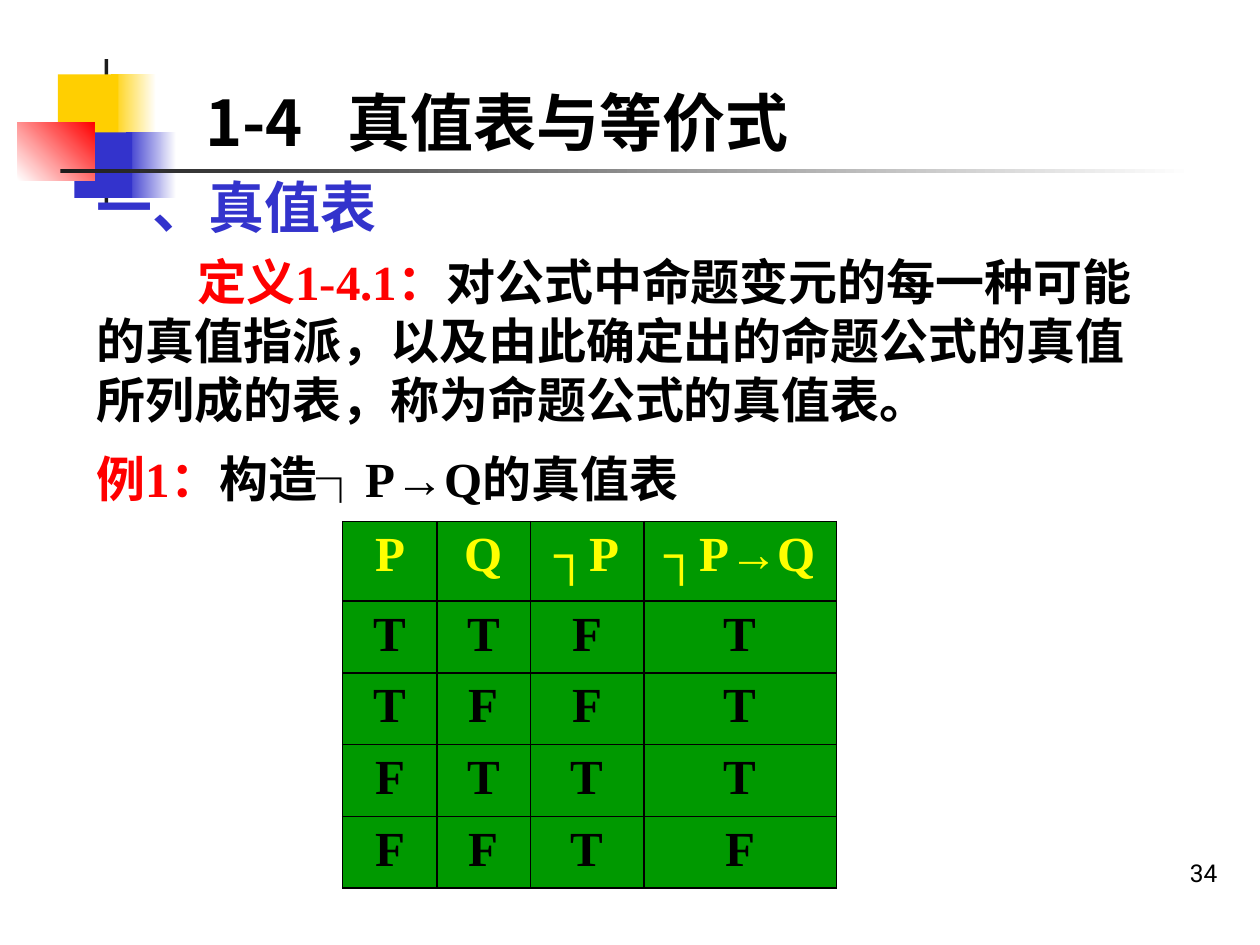
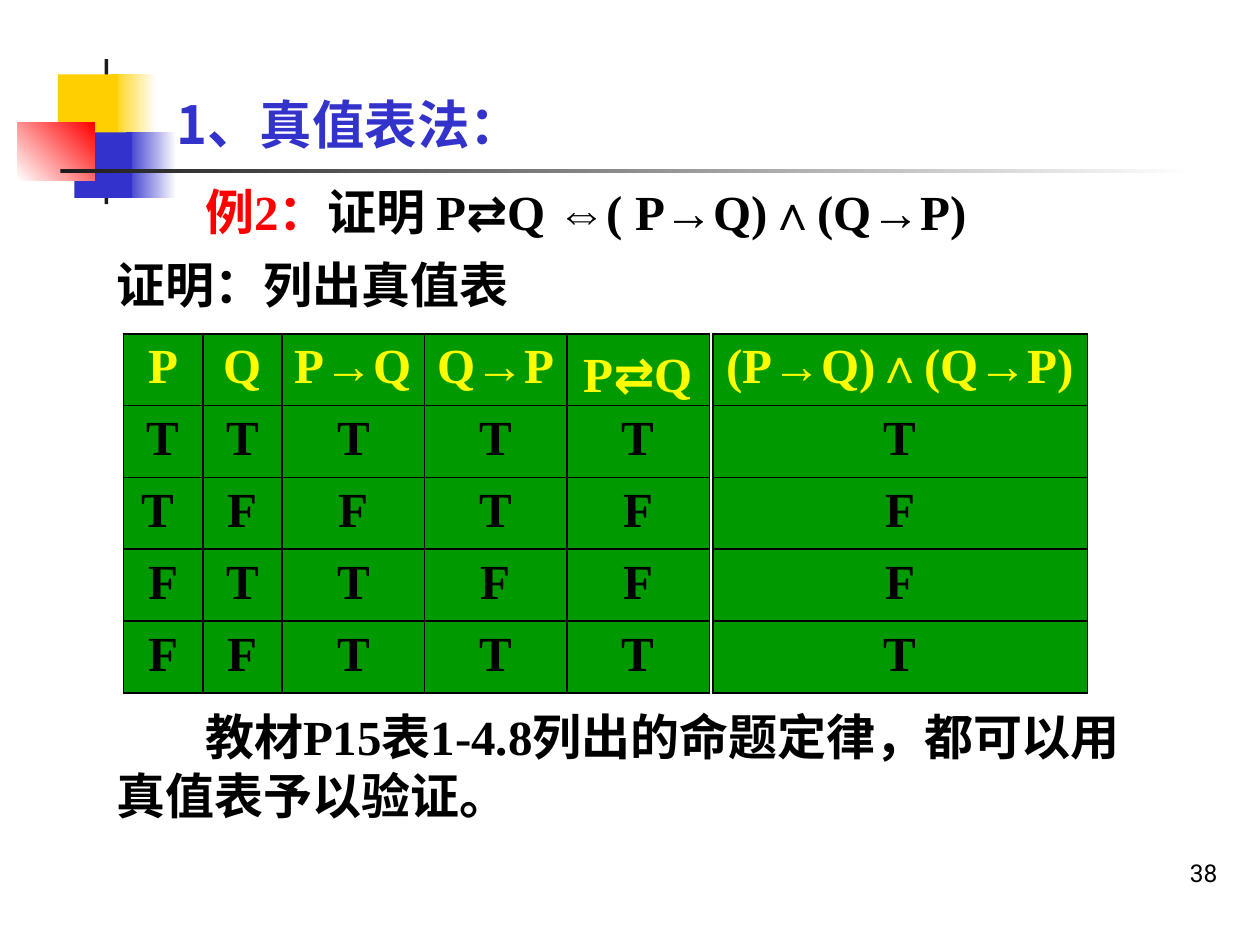
import pptx
import pptx.util
import pptx.dml.color
import pptx.enum.shapes
import pptx.enum.text
import pptx.oxml.ns
import lxml.etree

Inches = pptx.util.Inches
Pt = pptx.util.Pt
RGBColor = pptx.dml.color.RGBColor
ALIGN = pptx.enum.text.PP_ALIGN
ANCHOR = pptx.enum.text.MSO_ANCHOR
qn = pptx.oxml.ns.qn

# Shared colours and fonts
BLACK = RGBColor(0x00, 0x00, 0x00)
WHITE = RGBColor(0xFF, 0xFF, 0xFF)
CHARCOAL = RGBColor(0x1C, 0x1C, 0x1C)
GOLD = RGBColor(0xFF, 0xCF, 0x01)
BLUE = RGBColor(0x33, 0x33, 0xCC)
RED = RGBColor(0xFF, 0x00, 0x00)
GREEN = RGBColor(0x00, 0x99, 0x00)
YELLOW = RGBColor(0xFF, 0xFF, 0x00)
CJK = "Noto Sans CJK SC"
SERIF = "Times New Roman"
MONO = "Noto Sans Mono"

# Corner ornament and rule: left, top, width, height, colours, gradient angle
ORNAMENT = [
    (0.88, 0.59, 0.36, 0.52, (GOLD, WHITE), 0),
    (1.00, 1.05, 0.40, 0.52, (BLUE, WHITE), 0),
    (0.83, 0.47, 0.03, 1.15, (CHARCOAL,), 0),
    (0.46, 0.59, 0.48, 0.52, (GOLD,), 0),
    (0.59, 1.05, 0.46, 0.52, (BLUE,), 0),
    (0.14, 0.97, 0.61, 0.46, (WHITE, RED), 45),
    (0.48, 1.34, 9.00, 0.03, (CHARCOAL, WHITE), 0),
]


def add_runs(paragraph, runs, size=28):
    """Each run is (text, colour) or (text, colour, font)."""
    for text, colour, *font in runs:
        run = paragraph.add_run()
        run.text = text
        run.font.size = Pt(size)
        run.font.bold = True
        run.font.name = font[0] if font else SERIF
        run.font.color.rgb = colour
        east_asian = lxml.etree.Element(qn("a:ea"), typeface=CJK)
        run.font._element.find(qn("a:latin")).addnext(east_asian)


def add_text(slide, box, paragraphs):
    """Each paragraph is (first-line indent in inches, runs)."""
    shape = slide.shapes.add_textbox(*map(Inches, box))
    frame = shape.text_frame
    frame.word_wrap = True
    for index, (indent, runs) in enumerate(paragraphs):
        paragraph = frame.add_paragraph() if index else frame.paragraphs[0]
        if index:
            paragraph.space_before = Pt(8.4)
        paragraph._p.get_or_add_pPr().set("indent", str(Inches(indent)))
        add_runs(paragraph, runs)


presentation = pptx.Presentation()
presentation.slide_width = Inches(10)
presentation.slide_height = Inches(7.5)

# Frame of every slide: ornament, title, page number
pages = [
    ("1-4\t真值表与等价式", 36, BLACK, (1.53, 0.52, 7.01, 0.79), "34"),
    ("1、真值表法：", 30, BLUE, (1.3, 0.68, 2.92, 0.6), "38"),
]
slides = []
for title_text, title_size, title_colour, title_box, number in pages:
    slide = presentation.slides.add_slide(presentation.slide_layouts[5])
    slides.append(slide)
    for left, top, width, height, colours, angle in ORNAMENT:
        shape = slide.shapes.add_shape(
            pptx.enum.shapes.MSO_SHAPE.RECTANGLE,
            Inches(left), Inches(top), Inches(width), Inches(height))
        shape.shadow.inherit = False
        shape.line.fill.background()
        if len(colours) == 1:
            shape.fill.solid()
            shape.fill.fore_color.rgb = colours[0]
        else:
            shape.fill.gradient()
            shape.fill.gradient_angle = angle
            for stop, colour in zip(shape.fill.gradient_stops, colours):
                stop.color.rgb = colour

    title = slide.shapes.title
    title.left, title.top, title.width, title.height = map(Inches, title_box)
    frame = title.text_frame
    frame.auto_size = pptx.enum.text.MSO_AUTO_SIZE.NONE
    frame.word_wrap = True
    frame.vertical_anchor = ANCHOR.BOTTOM
    paragraph = frame.paragraphs[0]
    paragraph.alignment = ALIGN.LEFT
    if "\t" in title_text:
        tabs = lxml.etree.SubElement(paragraph._p.get_or_add_pPr(), qn("a:tabLst"))
        lxml.etree.SubElement(tabs, qn("a:tab"), pos=str(Inches(1.13)), algn="l")
    add_runs(paragraph, [(title_text, title_colour, CJK)], title_size)

    number_box = slide.shapes.add_textbox(
        Inches(7.68), Inches(6.59), Inches(2.08), Inches(0.5))
    number_box.text_frame.word_wrap = True
    number_box.text_frame.vertical_anchor = ANCHOR.BOTTOM
    paragraph = number_box.text_frame.paragraphs[0]
    paragraph.alignment = ALIGN.RIGHT
    run = paragraph.add_run()
    run.text = number
    run.font.size = Pt(14)
    run.font.name = "Roboto"
    run.font.color.rgb = BLACK

definition_slide, proof_slide = slides

# Slide 1: definition and example
add_text(definition_slide, (0.67, 1.32, 8.74, 0.63), [])
heading = definition_slide.shapes[-1].text_frame.paragraphs[0]
add_runs(heading, [("一、真值表", BLUE)], 32)
add_text(definition_slide, (0.67, 1.95, 8.58, 1.5), [(0.8, [
    ("定义1-4.1：", RED),
    ("对公式中命题变元的每一种可能的真值指派，以及由此确定出的命题公式的真值"
     "所列成的表，称为命题公式的真值表。", BLACK)])])
add_text(definition_slide, (0.67, 3.51, 5.25, 0.57), [(0, [
    ("例1：", RED), ("构造┐P→Q的真值表", BLACK)])])

# Slide 2: proof and closing remark
add_text(proof_slide, (0.83, 1.39, 7.88, 1.18), [
    (0.7, [("例2：", RED), ("证明 P", BLACK), ("⇄", BLACK, MONO),
           ("Q ⇔( P→Q)∧(Q→P)", BLACK)]),
    (0, [("证明：列出真值表", BLACK)])])
add_text(proof_slide, (0.83, 5.56, 8.19, 1.03), [(0.7, [
    ("教材P15表1-4.8列出的命题定律，都可以用真值表予以验证。", BLACK)])])

# Truth tables: slide, left, top, header height, column widths, headers, values
truth_tables = [
    (definition_slide, 2.72, 4.14, 0.63, (0.75, 0.74), ("P", "Q"),
     ("TT", "TF", "FT", "FF")),
    (definition_slide, 4.21, 4.14, 0.63, (0.9,), ("┐P",), "FFTT"),
    (definition_slide, 5.11, 4.14, 0.63, (1.53,), ("┐P→Q",), "TTTF"),
    (proof_slide, 0.98, 2.65, 0.57, (0.63, 0.63, 1.13, 1.13, 1.13),
     ("P", "Q", "P→Q", "Q→P", "P⇄Q"),
     ("TTTTT", ("T ", "F", "F", "T", "F"), "FTTFF", "FFTTT")),
    (proof_slide, 5.66, 2.65, 0.57, (2.97,), ("(P→Q)∧(Q→P)",), "TFFT"),
]
for slide, left, top, header_height, widths, headers, values in truth_tables:
    rows = [headers, *values]
    heights = [header_height] + [0.57] * len(values)
    table = slide.shapes.add_table(
        len(rows), len(widths), Inches(left), Inches(top),
        Inches(sum(widths)), Inches(sum(heights))).table
    for column, width in zip(table.columns, widths):
        column.width = Inches(width)
    for row_index, (row, height) in enumerate(zip(rows, heights)):
        table.rows[row_index].height = Inches(height)
        colour = BLACK if row_index else YELLOW
        for column_index, text in enumerate(row):
            cell = table.cell(row_index, column_index)
            paragraph = cell.text_frame.paragraphs[0]
            paragraph.alignment = ALIGN.CENTER
            before, arrow, after = text.partition("⇄")
            parts = [(before, colour), (arrow, colour, MONO), (after, colour)]
            add_runs(paragraph, [part for part in parts if part[0]])
            properties = cell._tc.get_or_add_tcPr()
            for side in ("a:lnL", "a:lnR", "a:lnT", "a:lnB"):
                border = lxml.etree.SubElement(properties, qn(side), w=str(Pt(1)))
                solid = lxml.etree.SubElement(border, qn("a:solidFill"))
                lxml.etree.SubElement(solid, qn("a:srgbClr"), val=str(BLACK))
            cell.fill.solid()
            cell.fill.fore_color.rgb = GREEN

presentation.save("out.pptx")
